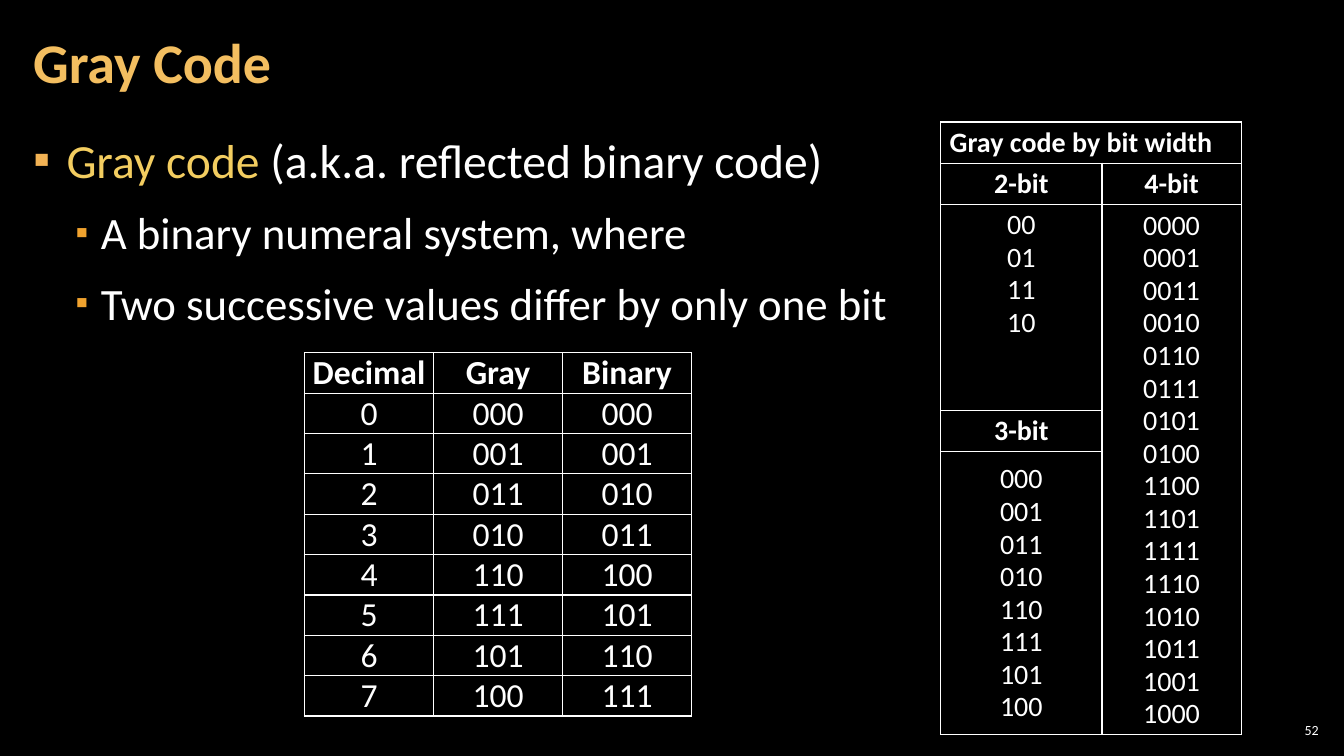
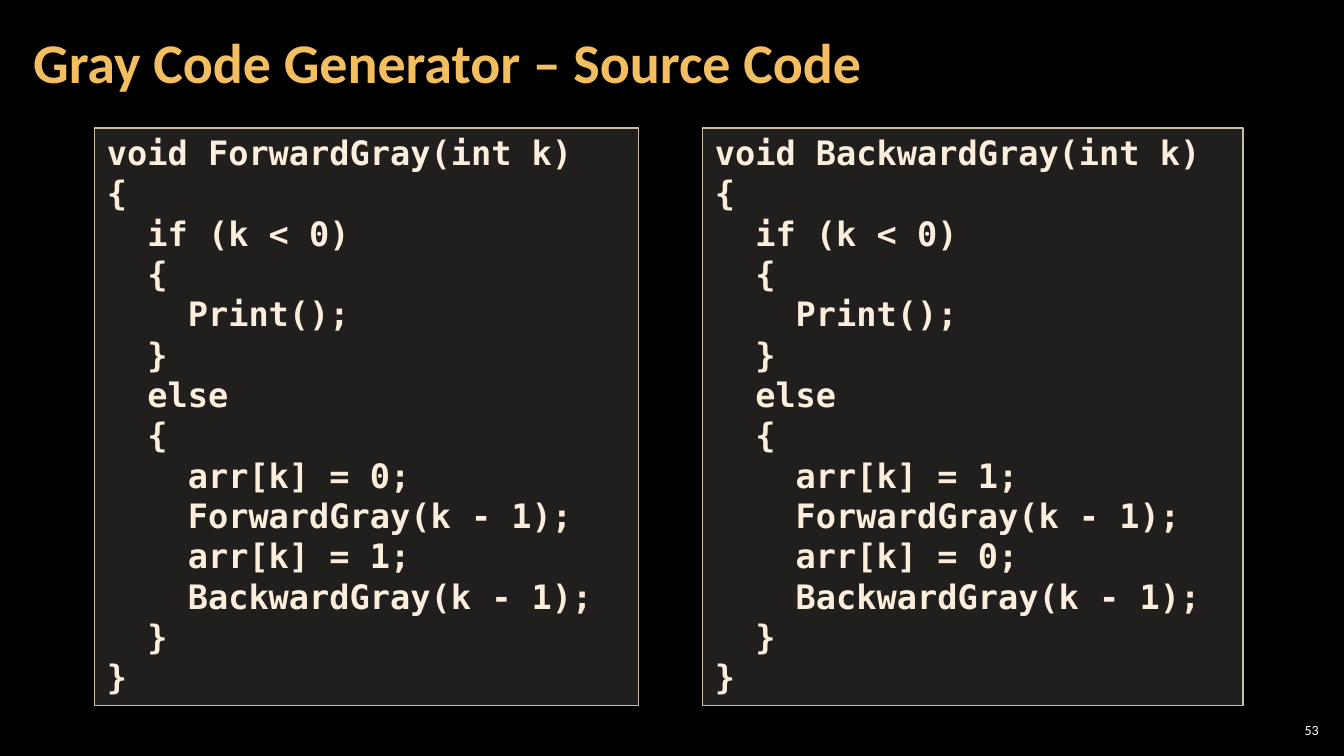
from dataclasses import dataclass

from lxml import etree
from pptx import Presentation
from pptx.dml.color import RGBColor
from pptx.enum.shapes import MSO_SHAPE
from pptx.enum.text import MSO_ANCHOR, PP_ALIGN
from pptx.oxml.ns import qn
from pptx.util import Inches, Pt

LEFT, CENTER, RIGHT = PP_ALIGN.LEFT, PP_ALIGN.CENTER, PP_ALIGN.RIGHT
TOP, MIDDLE = MSO_ANCHOR.TOP, MSO_ANCHOR.MIDDLE
RECTANGLE = MSO_SHAPE.RECTANGLE


@dataclass(frozen=True)
class Theme:
    background: str = "000000"
    text: str = "FFFFFF"
    title: str = "F3BE60"
    accent: str = "F3CD60"
    bullet: str = "F2B254"
    sub_bullet: str = "F0A22E"
    code: str = "FBEEDC"
    panel: str = "D9D5C7"
    panel_opacity: int = 15
    panel_line: str = "C7BFAC"
    font: str = "Calibri"
    code_font: str = "DejaVu Sans Mono"
    title_size: int = 40
    body_size: int = 34
    sub_size: int = 32
    table_size: int = 24
    small_table_size: int = 20
    code_size: int = 24
    number_size: int = 10


THEME = Theme()


def write(frame, text, *, size, color=THEME.text, font=THEME.font, bold=False,
          align=LEFT, anchor=TOP, margins=(0.12, 0.04), line_spacing=1.0,
          space=0, accent="", bullet=None):
    """Append the lines of text to a frame.

    accent is a highlighted lead-in; bullet is (colour, percent, left, hanging).
    """
    frame.word_wrap = True
    frame.vertical_anchor = anchor
    frame.margin_left = frame.margin_right = Inches(margins[0])
    frame.margin_top = frame.margin_bottom = Inches(margins[1])
    for line in text.split("\n"):
        paragraph = frame.paragraphs[0]
        if paragraph.runs:
            paragraph = frame.add_paragraph()
            paragraph.space_before = Pt(space)
        paragraph.space_after = Pt(space)
        paragraph.alignment = align
        paragraph.line_spacing = line_spacing
        if bullet:
            bullet_color, percent, left, hanging = bullet
            properties = paragraph._p.get_or_add_pPr()
            properties.set("marL", str(Inches(left)))
            properties.set("indent", str(-Inches(hanging)))
            color_element = etree.SubElement(properties, qn("a:buClr"))
            etree.SubElement(color_element, qn("a:srgbClr"), val=bullet_color)
            etree.SubElement(properties, qn("a:buSzPct"), val=str(percent * 1000))
            etree.SubElement(properties, qn("a:buFont"), typeface=THEME.font)
            etree.SubElement(properties, qn("a:buChar"), char="▪")
        for part, part_color in ((accent, THEME.accent), (line, color)):
            if part:
                run = paragraph.add_run()
                run.text = part
                run.font.name = font
                run.font.size = Pt(size)
                run.font.bold = bold
                run.font.color.rgb = RGBColor.from_string(part_color)


def add_grid(slide, left, top, widths, heights):
    """Add an unfilled table with thin white borders."""
    table = slide.shapes.add_table(
        len(heights), len(widths), Inches(left), Inches(top),
        Inches(sum(widths)), Inches(sum(heights))).table
    table.first_row = table.horz_banding = False
    for column, width in zip(table.columns, widths):
        column.width = Inches(width)
    for row, height in zip(table.rows, heights):
        row.height = Inches(height)
    for cell in table.iter_cells():
        properties = cell._tc.get_or_add_tcPr()
        for side in ("a:lnL", "a:lnR", "a:lnT", "a:lnB"):
            border = etree.SubElement(properties, qn(side), w=str(Pt(1)))
            fill = etree.SubElement(border, qn("a:solidFill"))
            etree.SubElement(fill, qn("a:srgbClr"), val=THEME.text)
        cell.fill.background()
    return table


presentation = Presentation()
presentation.slide_width = Inches(13.33)
presentation.slide_height = Inches(7.5)
background = presentation.slide_master.background.fill
background.solid()
background.fore_color.rgb = RGBColor.from_string(THEME.background)

# Title and page number on every slide
slides = []
for number, title in ((52, "Gray Code"), (53, "Gray Code Generator – Source Code")):
    slide = presentation.slides.add_slide(presentation.slide_layouts[6])
    title_box = slide.shapes.add_textbox(
        Inches(0.21), Inches(0.04), Inches(10.47), Inches(1.21))
    write(title_box.text_frame, title, size=THEME.title_size, color=THEME.title,
          bold=True, anchor=MIDDLE, line_spacing=0.9)
    number_box = slide.shapes.add_textbox(
        Inches(12.65), Inches(7.14), Inches(0.47), Inches(0.21))
    write(number_box.text_frame, str(number), size=THEME.number_size,
          align=RIGHT, anchor=MIDDLE, margins=(0.04, 0.04))
    slides.append(slide)
gray_slide, code_slide = slides

# Gray code: definition
body = gray_slide.shapes.add_textbox(
    Inches(0.21), Inches(1.26), Inches(12.91), Inches(6.09)).text_frame
write(body, "(a.k.a. reflected binary code)", accent="Gray code ",
      size=THEME.body_size, space=6, bullet=(THEME.bullet, 100, 0.33, 0.33))
write(body, "A binary numeral system, where\n"
      "Two successive values differ by only one bit",
      size=THEME.sub_size, space=6, bullet=(THEME.sub_bullet, 80, 0.67, 0.25))

# Gray code: sequences by bit width
gray_codes = {bits: "\n".join(f"{value ^ (value >> 1):0{bits}b}"
                              for value in range(2 ** bits))
              for bits in (2, 3, 4)}
width_table = add_grid(gray_slide, 9.33, 1.21, [1.6, 1.38],
                       [0.41, 0.41, 2.04, 0.41, 2.81])
width_table.cell(0, 0).merge(width_table.cell(0, 1))
width_table.cell(2, 1).merge(width_table.cell(4, 1))
for row, column, text, bold, align, anchor in (
        (0, 0, "Gray code by bit width", True, LEFT, MIDDLE),
        (1, 0, "2-bit", True, CENTER, MIDDLE),
        (1, 1, "4-bit", True, CENTER, MIDDLE),
        (2, 0, gray_codes[2], False, CENTER, TOP),
        (2, 1, gray_codes[4], False, CENTER, MIDDLE),
        (3, 0, "3-bit", True, CENTER, MIDDLE),
        (4, 0, gray_codes[3], False, CENTER, MIDDLE)):
    cell = width_table.cell(row, column)
    cell.vertical_anchor = anchor
    write(cell.text_frame, text, size=THEME.small_table_size, bold=bold,
          align=align, anchor=anchor, margins=(0.09, 0.04), line_spacing=0.95)
    cell.margin_left = cell.margin_right = Inches(0.09)
    cell.margin_top = cell.margin_bottom = Inches(0.04)

# Gray code: comparison with binary
comparison = [("Decimal", "Gray", "Binary")]
comparison += [(str(value), f"{value ^ (value >> 1):03b}", f"{value:03b}")
               for value in range(8)]
comparison_table = add_grid(gray_slide, 3.02, 3.5, [1.28] * 3,
                            [0.4] * len(comparison))
for row, values in enumerate(comparison):
    for column, value in enumerate(values):
        cell = comparison_table.cell(row, column)
        cell.vertical_anchor = MIDDLE
        cell.margin_left = cell.margin_right = 0
        cell.margin_top = cell.margin_bottom = 0
        write(cell.text_frame, value, size=THEME.table_size, bold=row == 0,
              align=CENTER, anchor=MIDDLE, margins=(0, 0))

# Source code: the two mirrored functions
for left, width, name, first, second in ((0.94, 5.39, "ForwardGray", 0, 1),
                                         (6.97, 5.36, "BackwardGray", 1, 0)):
    source = f"""void {name}(int k)
{{
  if (k < 0)
  {{
    Print();
  }}
  else
  {{
    arr[k] = {first};
    ForwardGray(k - 1);
    arr[k] = {second};
    BackwardGray(k - 1);
  }}
}}"""
    panel = code_slide.shapes.add_shape(
        RECTANGLE, Inches(left), Inches(1.27), Inches(width), Inches(5.73))
    panel.shadow.inherit = False
    panel.fill.solid()
    panel.fill.fore_color.rgb = RGBColor.from_string(THEME.panel)
    panel_color = panel.fill._xPr.find(qn("a:solidFill")).find(qn("a:srgbClr"))
    etree.SubElement(panel_color, qn("a:alpha"), val=str(THEME.panel_opacity * 1000))
    panel.line.color.rgb = RGBColor.from_string(THEME.panel_line)
    panel.line.width = Pt(1)
    write(panel.text_frame, source, size=THEME.code_size, color=THEME.code,
          font=THEME.code_font, bold=True)

presentation.save("out.pptx")
